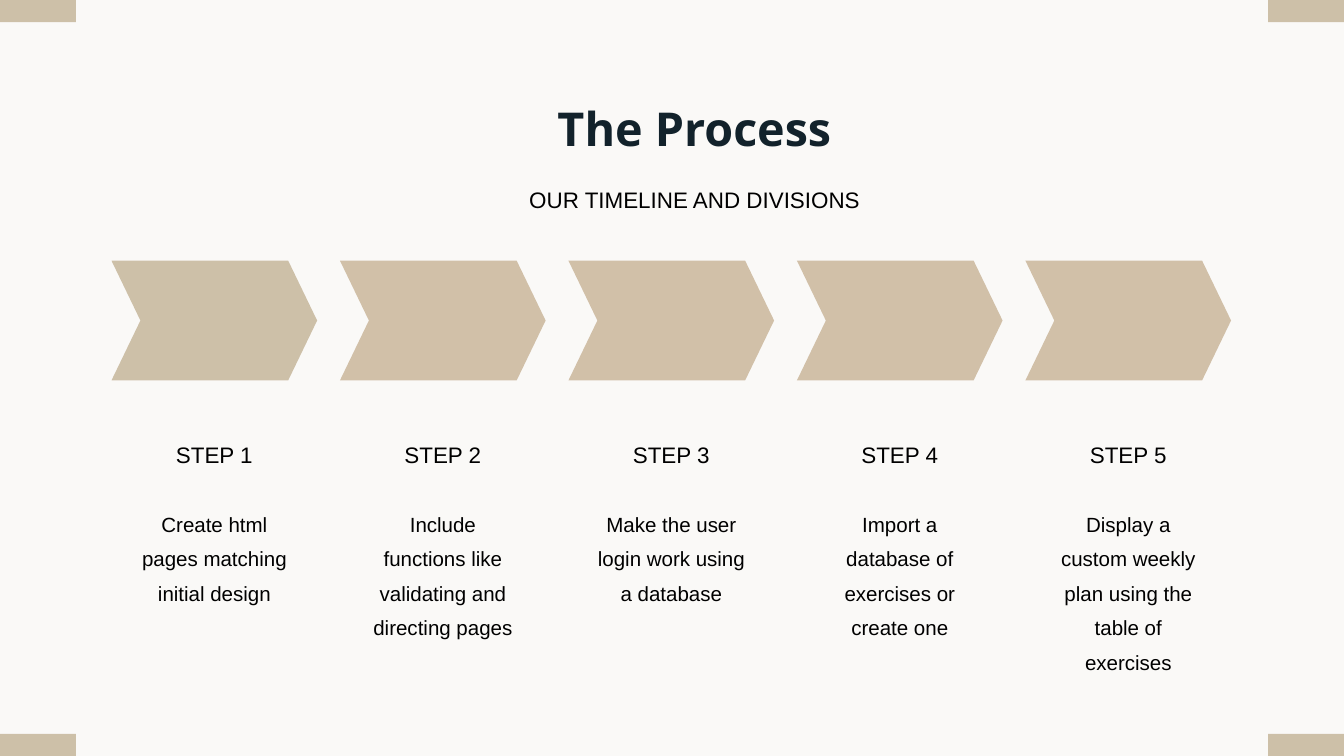
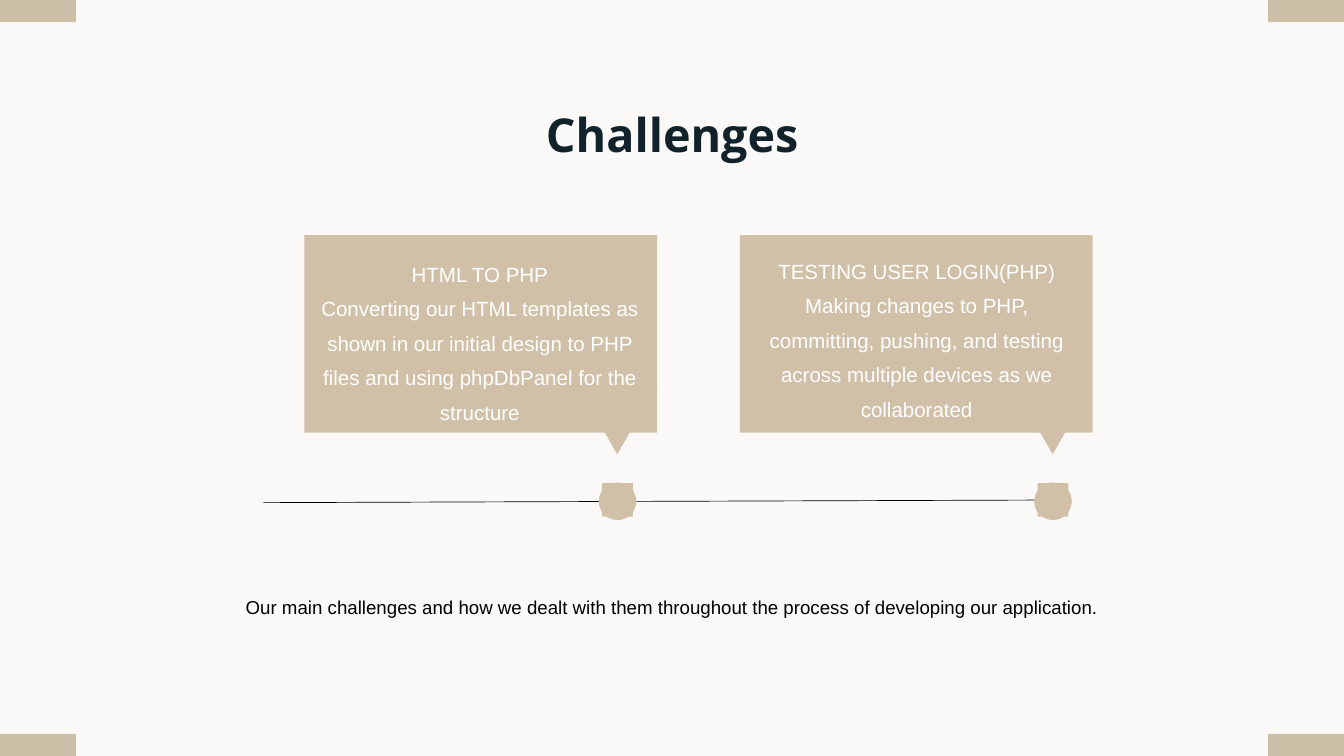
from dataclasses import dataclass
from itertools import product

from lxml.etree import SubElement
from pptx import Presentation
from pptx.dml.color import RGBColor
from pptx.enum.shapes import MSO_CONNECTOR, MSO_SHAPE
from pptx.enum.text import MSO_ANCHOR, MSO_AUTO_SIZE, PP_ALIGN
from pptx.oxml.ns import qn
from pptx.shapes.autoshape import Shape
from pptx.slide import Slide
from pptx.util import Inches, Pt


@dataclass(frozen=True)
class Theme:
    paper: str = "FAF9F7"
    sand: str = "CDC0A8"
    tan: str = "D1C0A8"
    navy: str = "12222B"
    black: str = "000000"
    white: str = "FFFFFF"
    body: str = "Arial"
    head: str = "Open Sans"
    title: int = 50
    label: int = 24
    text: int = 22
    note: int = 20


THEME = Theme()
WIDE, HIGH = 20, 11.25


@dataclass(frozen=True)
class Box:
    left: float
    top: float
    width: float
    height: float

    def lengths(self) -> tuple[int, ...]:
        return tuple(Inches(n) for n in (self.left, self.top, self.width, self.height))


@dataclass(frozen=True)
class Style:
    size: int
    color: str = THEME.black
    font: str = THEME.body
    bold: bool = False
    lead: float = 1.4
    inset: float = 0
    anchor: MSO_ANCHOR = MSO_ANCHOR.TOP


TITLE = Style(THEME.title, THEME.navy, THEME.head, True, 1.16)
LABEL = Style(THEME.label)
TEXT = Style(THEME.text)
NOTE = Style(THEME.note)
CARD = Style(THEME.text, THEME.white, inset=0.06, anchor=MSO_ANCHOR.MIDDLE)


@dataclass(frozen=True)
class Step:
    text: str
    height: float
    fill: str = THEME.tan


@dataclass(frozen=True)
class Issue:
    left: float
    words: Box
    lines: tuple[str, str]


STEPS = (
    Step("Create html pages matching initial design", 1.41, THEME.sand),
    Step("Include functions like validating and directing pages", 1.93),
    Step("Make the user login work using a database", 1.41),
    Step("Import a database of exercises or create one", 1.93),
    Step("Display a custom weekly plan using the table of exercises", 2.44),
)
ISSUES = (
    Issue(4.53, Box(4.7, 3.75, 4.88, 2.56), (
        "HTML TO PHP",
        "Converting our HTML templates as shown in our initial design to PHP "
        "files and using phpDbPanel for the structure",
    )),
    Issue(11.01, Box(11.2, 3.71, 4.88, 2.56), (
        "TESTING USER LOGIN(PHP)",
        "Making changes to PHP, committing, pushing, and testing across "
        "multiple devices as we collaborated",
    )),
)


def assign(target: object, values: dict[str, object]) -> None:
    for name, value in values.items():
        setattr(target, name, value)


def draw(slide: Slide, kind: MSO_SHAPE, box: Box, fill: str) -> Shape:
    shape = slide.shapes.add_shape(kind, *box.lengths())
    shape.shadow.inherit = False
    shape.fill.solid()
    shape.fill.fore_color.rgb = RGBColor.from_string(fill)
    shape.line.fill.background()
    return shape


def write(slide: Slide, box: Box, style: Style, *lines: str) -> None:
    frame = slide.shapes.add_textbox(*box.lengths()).text_frame
    sides = ("left", "top", "right", "bottom")
    assign(frame, {
        "text": "\n".join(lines),
        "word_wrap": True,
        "auto_size": MSO_AUTO_SIZE.SHAPE_TO_FIT_TEXT,
        "vertical_anchor": style.anchor,
        **{f"margin_{side}": Inches(style.inset) for side in sides},
    })
    for line in frame.paragraphs:
        assign(line, {"alignment": PP_ALIGN.CENTER, "line_spacing": style.lead})
        for run in line.runs:
            assign(run.font, {"size": Pt(style.size), "name": style.font, "bold": style.bold})
            run.font.color.rgb = RGBColor.from_string(style.color)


def rule(slide: Slide, start: tuple[float, float], end: tuple[float, float]) -> None:
    ends = [Inches(n) for n in (*start, *end)]
    line = slide.shapes.add_connector(MSO_CONNECTOR.STRAIGHT, *ends)
    line.line.width = Pt(0.75)
    line.line.color.rgb = RGBColor.from_string(THEME.black)
    SubElement(line._element.spPr, qn("a:effectLst"))


def begin(deck: Presentation, title: str, box: Box) -> Slide:
    slide = deck.slides.add_slide(deck.slide_layouts[6])
    slide.background.fill.solid()
    slide.background.fill.fore_color.rgb = RGBColor.from_string(THEME.paper)
    width, height = 1.13, 0.33
    for left, top in product((0, WIDE - width), (0, HIGH - height)):
        draw(slide, MSO_SHAPE.RECTANGLE, Box(left, top, width, height), THEME.sand)
    write(slide, box, TITLE, title)
    return slide


def process(deck: Presentation) -> None:
    slide = begin(deck, "The Process", Box(2.31, 1.35, 16.05, 0.84))
    write(slide, Box(2.31, 2.61, 16.05, 0.4), LABEL, "OUR TIMELINE AND DIVISIONS")
    width, height, notch, pitch = 3.06, 1.78, 0.43, 3.4
    for index, step in enumerate(STEPS):
        left = 1.66 + index * pitch
        arrow = draw(slide, MSO_SHAPE.CHEVRON, Box(left, 3.88, width, height), step.fill)
        arrow.adjustments[0] = notch / height
        write(slide, Box(left, 6.41, width, 0.4), LABEL, f"STEP {index + 1}")
        write(slide, Box(left + 0.39, 7.47, 2.28, step.height), TEXT, step.text)


def issues(deck: Presentation) -> None:
    slide = begin(deck, "Challenges", Box(3.47, 1.44, 13.07, 0.84))
    rule(slide, (3.92, 7.48), (15.9, 7.44))
    for issue in ISSUES:
        spot = issue.left + 4.66
        parts = (
            (MSO_SHAPE.RECTANGLE, Box(issue.left, 3.5, 5.25, 2.94)),
            (MSO_SHAPE.FLOWCHART_MERGE, Box(spot - 0.6, 5.72, 1.19, 1.04)),
            (MSO_SHAPE.OVAL, Box(spot - 0.28, 7.18, 0.56, 0.56)),
            (MSO_SHAPE.RECTANGLE, Box(spot - 0.23, 7.19, 0.46, 0.5)),
        )
        for kind, box in parts:
            draw(slide, kind, box, THEME.tan)
        write(slide, issue.words, CARD, *issue.lines)
    write(slide, Box(3.52, 8.74, 12.96, 0.34), NOTE,
          "Our main challenges and how we dealt with them throughout the process "
          "of developing our application.")


def main() -> None:
    deck = Presentation()
    assign(deck, {"slide_width": Inches(WIDE), "slide_height": Inches(HIGH)})
    process(deck)
    issues(deck)
    deck.save("out.pptx")


if __name__ == "__main__":
    main()
